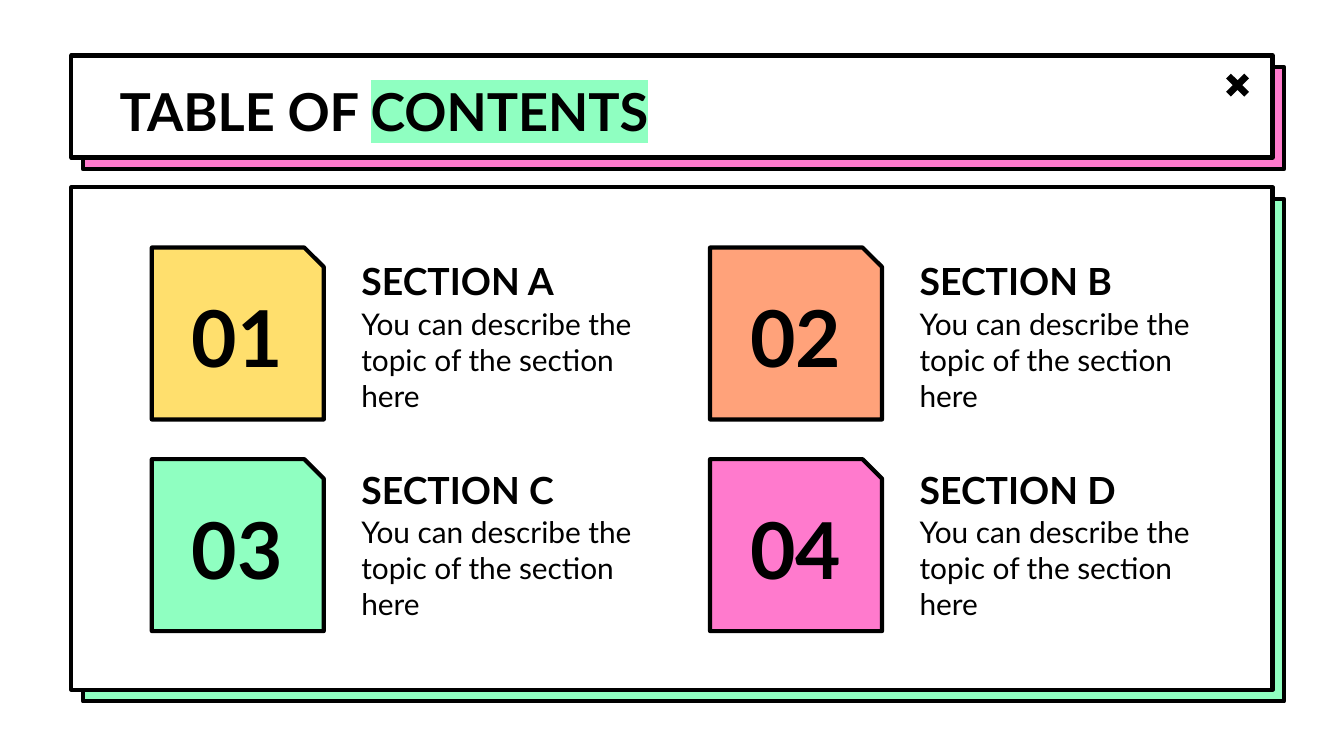
from lxml.etree import SubElement
from pptx import Presentation
from pptx.dml.color import RGBColor
from pptx.enum.shapes import MSO_SHAPE
from pptx.enum.text import MSO_ANCHOR, PP_ALIGN
from pptx.oxml.ns import qn
from pptx.util import Cm, Pt

HUES = {
    "ink": "000000",
    "paper": "FFFFFF",
    "pink": "FF7ACD",
    "mint": "8FFFC1",
    "gold": "FFDF6D",
    "peach": "FFA27A",
}
CARDS = [
    ("01", "SECTION A", "gold"),
    ("02", "SECTION B", "peach"),
    ("03", "SECTION C", "mint"),
    ("04", "SECTION D", "pink"),
]
BLURB = "You can describe the topic of the section here"


def shape(slide, kind, box, hue, line=True):
    """Draw a filled preset shape, outlined in ink if asked."""
    item = slide.shapes.add_shape(kind, *map(Cm, box))
    item.shadow.inherit = False
    item.fill.solid()
    item.fill.fore_color.rgb = RGBColor.from_string(HUES[hue])
    if line:
        item.line.color.rgb = RGBColor.from_string(HUES["ink"])
        item.line.width = Pt(2.25)
    else:
        item.line.fill.background()
    return item


def label(slide, box, text, size, bold=True, align=PP_ALIGN.LEFT, anchor=MSO_ANCHOR.TOP):
    """Place one paragraph of text and return it."""
    frame = slide.shapes.add_textbox(*map(Cm, box)).text_frame
    frame.word_wrap = True
    frame.vertical_anchor = anchor
    frame.margin_left = frame.margin_right = Cm(0.25)
    frame.margin_top = frame.margin_bottom = Cm(0.25)
    para = frame.paragraphs[0]
    para.add_run().text = text
    para.alignment = align
    font = para.font
    font.name, font.size, font.bold = "Lato", Pt(size), bold
    font.color.rgb = RGBColor.from_string(HUES["ink"])
    return para


def panel(slide, box, hue):
    """Draw a white panel over an offset coloured one."""
    left, top, wide, high = box
    shape(slide, MSO_SHAPE.RECTANGLE, (left + 0.22, top + 0.22, wide, high), hue)
    shape(slide, MSO_SHAPE.RECTANGLE, box, "paper")


def header(slide, box):
    """Draw the title bar with its close mark."""
    left, top, wide, high = box
    panel(slide, box, "pink")
    mark = (left + wide - 0.99, top + 0.23, 0.66, 0.66)
    cross = shape(slide, MSO_SHAPE.MATH_MULTIPLY, mark, "ink", line=False)
    cross.adjustments[0] = 0.193
    para = label(slide, (left + 0.66, top + 0.2, wide - 1.3, 1.6), "TABLE OF ", 28)
    run = para.add_run()
    run.text = "CONTENTS"
    glow = SubElement(run.font._element, qn("a:highlight"))
    SubElement(glow, qn("a:srgbClr"), val=HUES["mint"])


def badge(slide, box, num, hue):
    """Draw a numbered card with a snipped corner."""
    left, top, wide, high = box
    card = shape(slide, MSO_SHAPE.SNIP_1_RECTANGLE, box, hue)
    card.adjustments[0] = 0.113
    label(slide, (left - 0.29, top + 0.54, wide + 0.56, 2.18), num, 42, align=PP_ALIGN.CENTER)


def blurb(slide, box, name):
    """Write a section name above its description."""
    left, top, wide, high = box
    low = MSO_ANCHOR.BOTTOM
    label(slide, (left, top, wide, 1.3), name, 20, anchor=low)
    label(slide, (left, top + high - 1.83, wide, 1.83), BLURB, 16, bold=False, anchor=low)


def body(slide, box):
    """Draw the main panel with its two by two grid of sections."""
    left, top, wide, high = box
    panel(slide, box, "mint")
    for i, (num, name, hue) in enumerate(CARDS):
        row, col = divmod(i, 2)
        x = left + 1.52 + col * 10.55
        y = top + 1.14
        badge(slide, (x, y + row * 4, 3.25, 3.25), num, hue)
        blurb(slide, (x + 3.71, y + row * 3.94, 5.69, 3.38), name)


def main():
    """Build and save the slide."""
    deck = Presentation()
    deck.slide_width, deck.slide_height = Cm(25.4), Cm(14.29)
    slide = deck.slides.add_slide(deck.slide_layouts[6])
    header(slide, (1.35, 1.05, 22.7, 1.93))
    body(slide, (1.35, 3.54, 22.7, 9.5))
    deck.save("out.pptx")


if __name__ == "__main__":
    main()
